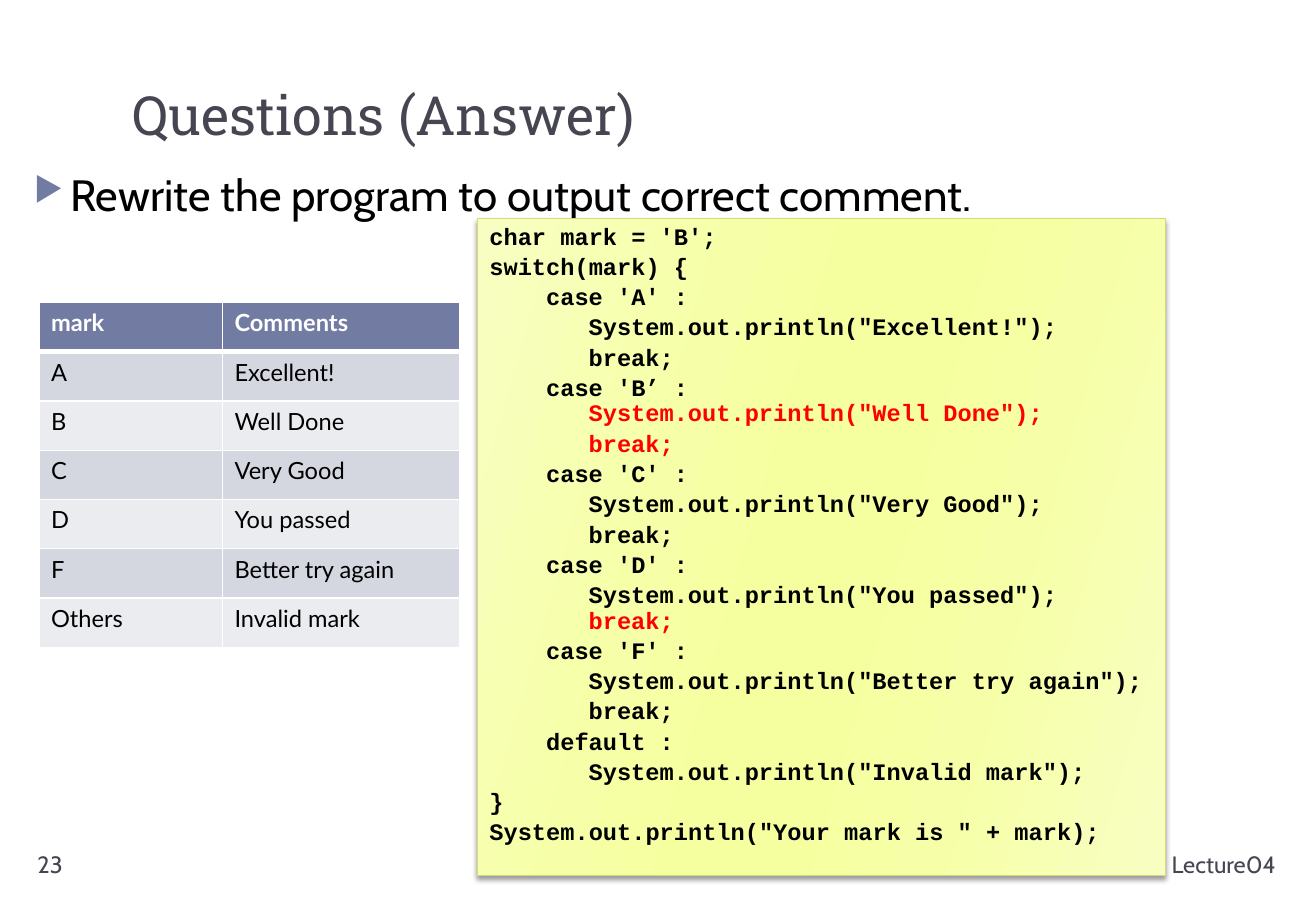
import pptx
import pptx.util
import pptx.dml.color
import pptx.enum.shapes
import pptx.enum.text
import pptx.oxml.ns
import lxml.etree

Inches, Pt = pptx.util.Inches, pptx.util.Pt
RGBColor = pptx.dml.color.RGBColor
ALIGN, ANCHOR = pptx.enum.text.PP_ALIGN, pptx.enum.text.MSO_ANCHOR
qn = pptx.oxml.ns.qn

BLACK = RGBColor(0x00, 0x00, 0x00)
WHITE = RGBColor(0xFF, 0xFF, 0xFF)
RED = RGBColor(0xFF, 0x00, 0x00)
SLATE = RGBColor(0x46, 0x46, 0x53)
HEADER = RGBColor(0x72, 0x7C, 0xA3)
BANDS = (RGBColor(0xEB, 0xEC, 0xF0), RGBColor(0xD5, 0xD7, 0xE0))
CODE_EDGE = RGBColor(0xD2, 0xDA, 0x7A)
CODE_STOPS = [
    (0, RGBColor(0xF8, 0xFE, 0xC2)),
    (30, RGBColor(0xF6, 0xFF, 0xA7)),
    (45, RGBColor(0xF6, 0xFF, 0x9F)),
    (55, RGBColor(0xF6, 0xFF, 0x9F)),
    (73, RGBColor(0xF6, 0xFF, 0xA7)),
    (100, RGBColor(0xF8, 0xFE, 0xC2)),
]

TITLE = "Questions (Answer)"
TASK = "Rewrite the program to output correct comment."
PAGE, LECTURE = "23", "Lecture04"
MARKS = [
    ("mark", "Comments"),
    ("A", "Excellent!"),
    ("B", "Well Done"),
    ("C", "Very Good"),
    ("D", "You passed"),
    ("F", "Better try again"),
    ("Others", "Invalid mark"),
]
COLUMN_WIDTHS = (1.51, 1.95)
ROW_HEIGHT = 2.84 / len(MARKS)

CODE_SIZE = 14
CODE_GAP = 2.8
CHAR_WIDTH = 0.6 * CODE_SIZE
CODE = [
    (0, "char mark = 'B';"),
    (0, "switch(mark) {"),
    (4, "case 'A' :"),
    (7, "System.out.println(\"Excellent!\");"),
    (7, "break;"),
    (4, "case 'B’ :"),
    (7, "System.out.println(\"Well Done\");"),
    (7, "break;"),
    (4, "case 'C' :"),
    (7, "System.out.println(\"Very Good\");"),
    (7, "break;"),
    (4, "case 'D' :"),
    (7, "System.out.println(\"You passed\");"),
    (7, "break;"),
    (4, "case 'F' :"),
    (7, "System.out.println(\"Better try again\");"),
    (7, "break;"),
    (4, "default :"),
    (7, "System.out.println(\"Invalid mark\");"),
    (0, "}"),
    (0, "System.out.println(\"Your mark is \" + mark);"),
]
ADDED_LINES = {6, 7, 13}
TIGHT_LINES = {6, 13}


def add_xml(parent, tag, **attrs):
    el = lxml.etree.SubElement(parent, qn(tag))
    for name, value in attrs.items():
        el.set(name, str(value))
    return el


def set_font(p, name, size, color, bold=False):
    p.font.name, p.font.size, p.font.bold = name, Pt(size), bold
    p.font.color.rgb = color


def add_text(slide, box, text, name, size, color, align=ALIGN.LEFT, anchor=ANCHOR.TOP):
    tf = slide.shapes.add_textbox(*map(Inches, box)).text_frame
    tf.word_wrap, tf.vertical_anchor = True, anchor
    p = tf.paragraphs[0]
    p.text, p.alignment = text, align
    set_font(p, name, size, color)
    return p


def add_bullet(p):
    p.space_before = Pt(6)
    pPr = p._p.get_or_add_pPr()
    pPr.set("marL", str(Inches(0.3)))
    pPr.set("indent", str(Inches(-0.3)))
    add_xml(add_xml(pPr, "a:buClr"), "a:srgbClr", val=HEADER)
    add_xml(pPr, "a:buSzPct", val=76000)
    add_xml(pPr, "a:buChar", char="▶")


def add_code(slide):
    sp = slide.shapes.add_shape(
        pptx.enum.shapes.MSO_SHAPE.RECTANGLE,
        Inches(3.93), Inches(1.8), Inches(5.66), Inches(5.41))
    sp.fill.gradient()
    sp.fill.gradient_angle = 360 - 16
    stops = sp._element.spPr.find(".//" + qn("a:gsLst"))
    for old in list(stops):
        stops.remove(old)
    for pos, color in CODE_STOPS:
        add_xml(add_xml(stops, "a:gs", pos=pos * 1000), "a:srgbClr", val=color)
    sp.line.color.rgb, sp.line.width = CODE_EDGE, Pt(0.75)
    sp.shadow.inherit = False
    shadow = add_xml(
        sp._element.spPr.find(qn("a:effectLst")), "a:outerShdw",
        blurRad=Pt(3), dist=Pt(2), dir=90 * 60000, rotWithShape=0)
    add_xml(add_xml(shadow, "a:srgbClr", val=BLACK), "a:alpha", val=40000)

    tf = sp.text_frame
    tf.word_wrap, tf.vertical_anchor = True, ANCHOR.TOP
    for i, (indent, line) in enumerate(CODE):
        p = tf.paragraphs[0] if i == 0 else tf.add_paragraph()
        p.text, p.alignment, p.line_spacing = line, ALIGN.LEFT, 0.9
        p.space_before = Pt(0 if i in TIGHT_LINES else CODE_GAP)
        p._p.get_or_add_pPr().set("marL", str(Pt(indent * CHAR_WIDTH)))
        set_font(p, "Courier New", CODE_SIZE, RED if i in ADDED_LINES else BLACK, True)


def add_borders(cell, is_header, below_header):
    tcPr = cell._tc.get_or_add_tcPr()
    widths = {"a:lnL": 1, "a:lnR": 1, "a:lnT": 3 if below_header else 1, "a:lnB": 3 if is_header else 1}
    for i, (tag, width) in enumerate(widths.items()):
        ln = add_xml(tcPr, tag, w=Pt(width))
        add_xml(add_xml(ln, "a:solidFill"), "a:srgbClr", val=WHITE)
        tcPr.insert(i, ln)


def add_marks(slide):
    table = slide.shapes.add_table(
        len(MARKS), len(COLUMN_WIDTHS), Inches(0.32), Inches(2.49),
        Inches(sum(COLUMN_WIDTHS)), Inches(ROW_HEIGHT * len(MARKS))).table
    for column, width in zip(table.columns, COLUMN_WIDTHS):
        column.width = Inches(width)
    for r, texts in enumerate(MARKS):
        table.rows[r].height = Inches(ROW_HEIGHT)
        for c, text in enumerate(texts):
            cell = table.cell(r, c)
            cell.fill.solid()
            cell.fill.fore_color.rgb = HEADER if r == 0 else BANDS[r % 2]
            add_borders(cell, r == 0, r == 1)
            p = cell.text_frame.paragraphs[0]
            p.text, p.alignment = text, ALIGN.LEFT
            set_font(p, "Lato", 14, WHITE if r == 0 else BLACK, r == 0)


def main():
    prs = pptx.Presentation()
    prs.slide_width, prs.slide_height = Inches(10.83), Inches(7.5)
    slide = prs.slides.add_slide(prs.slide_layouts[6])
    add_text(slide, (0.99, 0.17, 9.55, 1.08), TITLE, "Roboto Slab", 32, SLATE, anchor=ANCHOR.BOTTOM)
    add_bullet(add_text(slide, (0.18, 1.33, 10.38, 5.58), TASK, "Cabin", 26, BLACK))
    add_code(slide)
    add_text(slide, (0.21, 6.95, 2.35, 0.4), PAGE, "Cabin", 14, SLATE)
    add_text(slide, (7.89, 6.95, 2.71, 0.4), LECTURE, "Cabin", 14, SLATE, ALIGN.RIGHT)
    add_marks(slide)
    prs.save("out.pptx")


if __name__ == "__main__":
    main()
